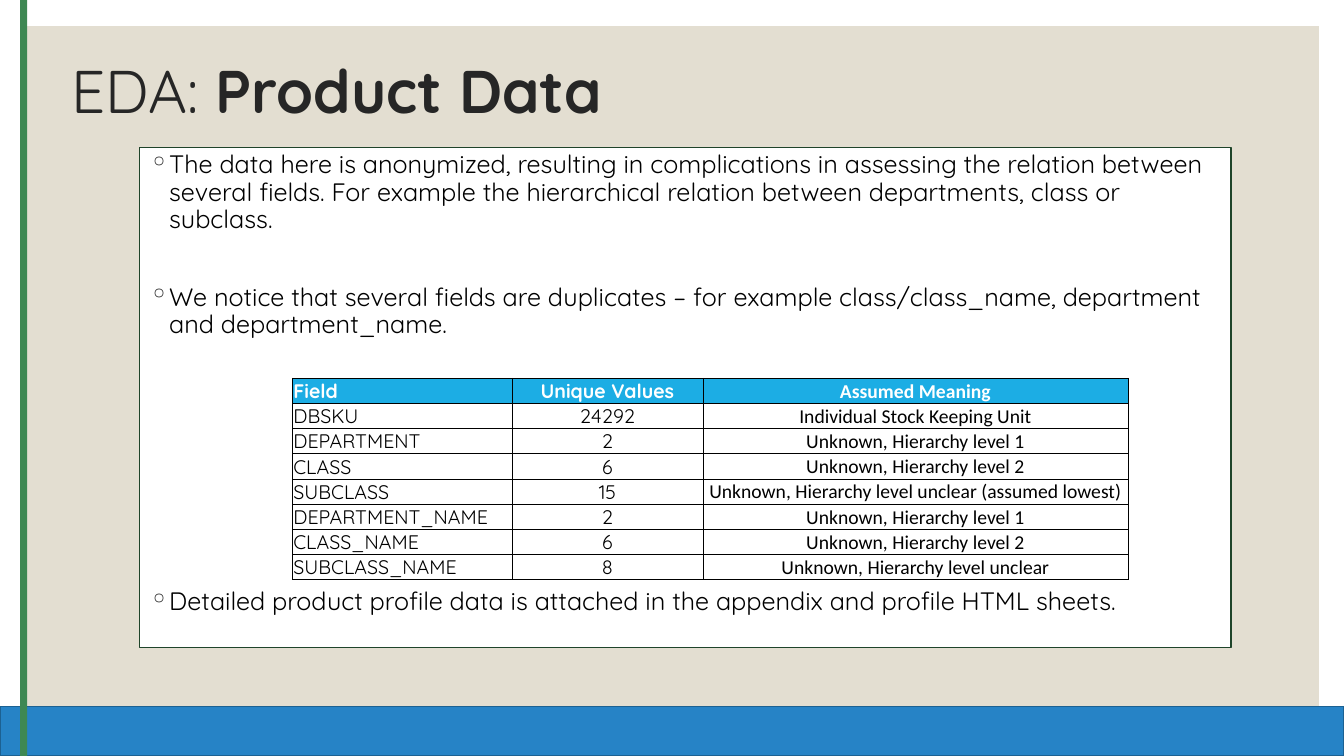
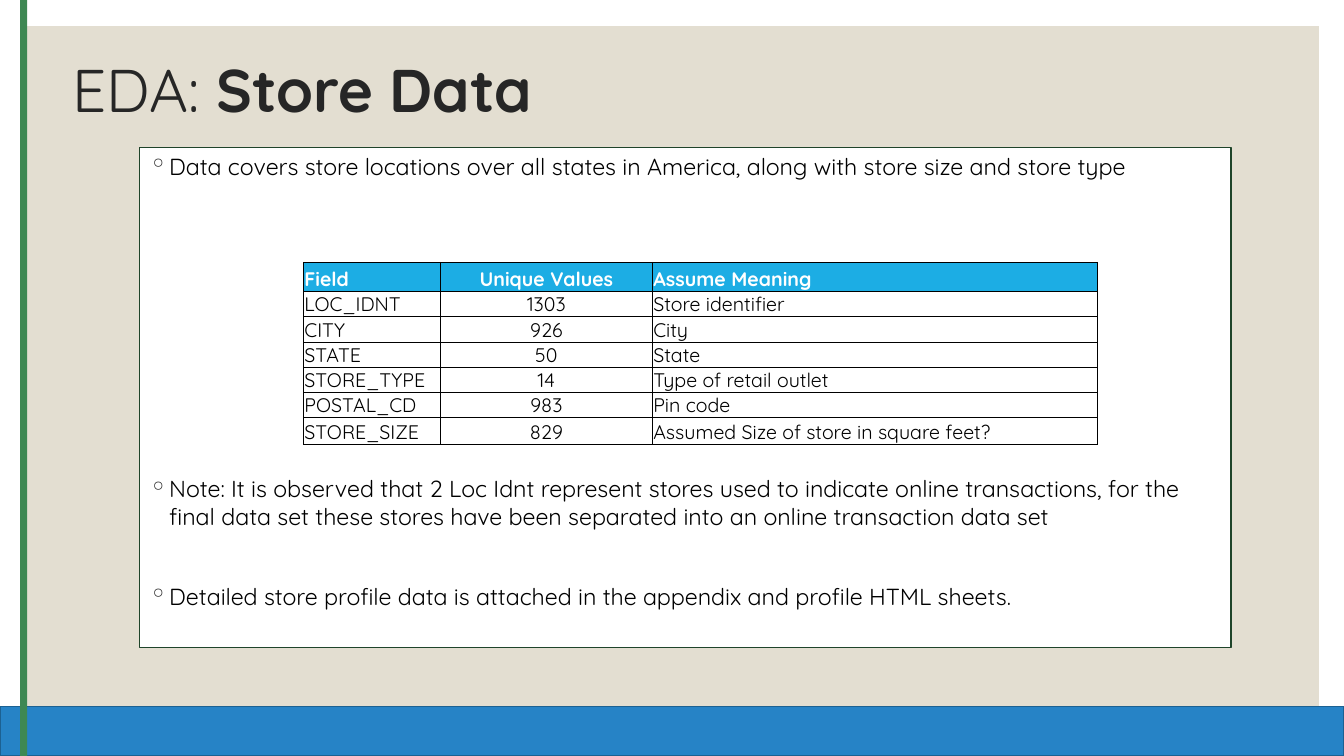
from dataclasses import dataclass

from lxml.etree import SubElement
from pptx import Presentation
from pptx.dml.color import RGBColor
from pptx.enum.shapes import MSO_SHAPE as Shape
from pptx.enum.text import MSO_ANCHOR as Anchor, PP_ALIGN as Align
from pptx.oxml.ns import qn
from pptx.util import Inches, Pt

COLORS = {
    "white": "FFFFFF",
    "panel": "E3DED1",
    "band": "2683C6",
    "band_line": "1C6192",
    "stripe": "3E8853",
    "title": "262626",
    "text": "000000",
    "body_line": "1F442A",
    "header": "1CADE4",
}
FONT = "Quicksand"
TABLE_FONT_SIZE = 14
BORDER_SIDES = ("a:lnL", "a:lnR", "a:lnT", "a:lnB")


@dataclass(frozen=True)
class Bar:
    left: float
    top: float
    width: float
    height: float
    fill: str
    line: str = ""
    line_width: float = 1


@dataclass(frozen=True)
class Bullet:
    text: str
    space_before: float = 0


@dataclass(frozen=True)
class Column:
    width: float
    align: Align = Align.LEFT
    font: str = FONT


@dataclass(frozen=True)
class FieldTable:
    left: float
    top: float
    columns: tuple[Column, ...]
    row_heights: tuple[float, ...]
    rows: tuple[tuple[str, str, str], ...]


@dataclass(frozen=True)
class DataPage:
    subject: str
    title_box: tuple[float, float, float, float]
    body_size: float
    line_spacing: float
    bullets: tuple[Bullet, ...]
    table: FieldTable


FRAME = (
    Bar(0.26, 0.26, 12.82, 6.98, "panel"),
    Bar(0, 7.01, 13.33, 0.49, "band", "band_line"),
    Bar(0.2, 0, 0.07, 7.5, "stripe"),
)
BODY = Bar(1.38, 1.46, 10.83, 4.96, "white", "body_line", 0.75)

PAGES = (
    DataPage(
        "Product Data",
        (0.61, 0.45, 10.29, 0.97),
        18,
        0.9,
        (
            Bullet("The data here is anonymized, resulting in complications in assessing the relation "
                   "between several fields. For example the hierarchical relation between departments, "
                   "class or subclass."),
            Bullet("We notice that several fields are duplicates – for example class/class_name, "
                   "department and department_name.", 36.5),
            Bullet("Detailed product profile data is attached in the appendix and profile HTML sheets.",
                   178.5),
        ),
        FieldTable(
            2.9, 3.75,
            (Column(2.18), Column(1.89, Align.CENTER), Column(4.22, Align.CENTER, "Calibri")),
            (0.25,) * 8,
            (
                ("Field", "Unique Values", "Assumed Meaning"),
                ("DBSKU", "24292", "Individual Stock Keeping Unit"),
                ("DEPARTMENT", "2", "Unknown, Hierarchy level 1"),
                ("CLASS", "6", "Unknown, Hierarchy level 2"),
                ("SUBCLASS", "15", "Unknown, Hierarchy level unclear (assumed lowest)"),
                ("DEPARTMENT_NAME", "2", "Unknown, Hierarchy level 1"),
                ("CLASS_NAME", "6", "Unknown, Hierarchy level 2"),
                ("SUBCLASS_NAME", "8", "Unknown, Hierarchy level unclear"),
            ),
        ),
    ),
    DataPage(
        "Store Data",
        (0.62, 0.63, 11.5, 0.59),
        16.6,
        1.0,
        (
            Bullet("Data covers store locations over all states in America, along with store size "
                   "and store type"),
            Bullet("Note: It is observed that 2 Loc Idnt represent stores used to indicate online "
                   "transactions, for the final data set these stores have been separated into an "
                   "online transaction data set", 210.5),
            Bullet("Detailed store profile data is attached in the appendix and profile HTML sheets.",
                   37),
        ),
        FieldTable(
            3.01, 2.6,
            (Column(1.36), Column(2.1, Align.CENTER), Column(4.41)),
            (0.29, *(0.25,) * 5, 0.27),
            (
                ("Field", "Unique Values", "Assume Meaning"),
                ("LOC_IDNT", "1303", "Store identifier"),
                ("CITY", "926", "City"),
                ("STATE", "50", "State"),
                ("STORE_TYPE", "14", "Type of retail outlet"),
                ("POSTAL_CD", "983", "Pin code"),
                ("STORE_SIZE", "829", "Assumed Size of store in square feet?"),
            ),
        ),
    ),
)


def rgb(name: str) -> RGBColor:
    return RGBColor.from_string(COLORS[name])


def style_span(span, size: float, color: str, bold: bool = False, font: str = FONT) -> None:
    span.font.name = font
    span.font.size = Pt(size)
    span.font.bold = bold
    span.font.color.rgb = rgb(color)


def draw_bar(page, bar: Bar):
    box = page.shapes.add_shape(
        Shape.RECTANGLE, Inches(bar.left), Inches(bar.top), Inches(bar.width), Inches(bar.height))
    box.shadow.inherit = False
    box.fill.solid()
    box.fill.fore_color.rgb = rgb(bar.fill)
    if bar.line:
        box.line.color.rgb = rgb(bar.line)
        box.line.width = Pt(bar.line_width)
    else:
        box.line.fill.background()
    return box


def draw_title(page, data: DataPage) -> None:
    box = page.shapes.add_textbox(*map(Inches, data.title_box))
    frame = box.text_frame
    frame.word_wrap = True
    frame.vertical_anchor = Anchor.MIDDLE
    para = frame.paragraphs[0]
    para.line_spacing = 0.9
    for text, bold in (("EDA: ", False), (data.subject, True)):
        span = para.add_run()
        span.text = text
        style_span(span, 43, "title", bold)


def add_bullet_mark(para) -> None:
    props = para._p.get_or_add_pPr()
    props.set("marL", str(Inches(0.2)))
    props.set("indent", str(-Inches(0.2)))
    color = SubElement(props, qn("a:buClr"))
    SubElement(color, qn("a:srgbClr"), val=COLORS["title"])
    SubElement(props, qn("a:buChar"), char="◦")


def draw_body(page, data: DataPage) -> None:
    frame = draw_bar(page, BODY).text_frame
    frame.word_wrap = True
    frame.vertical_anchor = Anchor.TOP
    frame.text = "\n".join(bullet.text for bullet in data.bullets)
    for para, bullet in zip(frame.paragraphs, data.bullets):
        para.alignment = Align.LEFT
        para.line_spacing = data.line_spacing
        para.space_before = Pt(bullet.space_before)
        add_bullet_mark(para)
        style_span(para.runs[0], data.body_size, "text")


def add_borders(cell) -> None:
    props = cell._tc.get_or_add_tcPr()
    for position, side in enumerate(BORDER_SIDES):
        line = SubElement(props, qn(side), w=str(Pt(0.25)))
        fill = SubElement(line, qn("a:solidFill"))
        SubElement(fill, qn("a:srgbClr"), val=COLORS["text"])
        props.insert(position, line)


def fill_cell(cell, text: str, column: Column, is_header: bool) -> None:
    cell.margin_left = cell.margin_right = cell.margin_top = Inches(0.01)
    cell.margin_bottom = Inches(0)
    cell.vertical_anchor = Anchor.BOTTOM
    if is_header:
        cell.fill.solid()
        cell.fill.fore_color.rgb = rgb("header")
    else:
        cell.fill.background()
    add_borders(cell)
    cell.text_frame.text = text
    para = cell.text_frame.paragraphs[0]
    para.alignment = column.align
    style_span(para.runs[0], TABLE_FONT_SIZE, "white" if is_header else "text", is_header, column.font)


def draw_table(page, data: FieldTable) -> None:
    width = sum(column.width for column in data.columns)
    table = page.shapes.add_table(
        len(data.rows), len(data.columns), Inches(data.left), Inches(data.top),
        Inches(width), Inches(sum(data.row_heights))).table
    table.horz_banding = False
    for index, column in enumerate(data.columns):
        table.columns[index].width = Inches(column.width)
    for row_index, (height, texts) in enumerate(zip(data.row_heights, data.rows)):
        table.rows[row_index].height = Inches(height)
        for index, (text, column) in enumerate(zip(texts, data.columns)):
            fill_cell(table.cell(row_index, index), text, column, row_index == 0)


def draw_page(deck, data: DataPage) -> None:
    page = deck.slides.add_slide(deck.slide_layouts[6])
    for bar in FRAME:
        draw_bar(page, bar)
    draw_title(page, data)
    draw_body(page, data)
    draw_table(page, data.table)


def main() -> None:
    deck = Presentation()
    deck.slide_width = Inches(13.33)
    deck.slide_height = Inches(7.5)
    for data in PAGES:
        draw_page(deck, data)
    deck.save("out.pptx")


if __name__ == "__main__":
    main()
